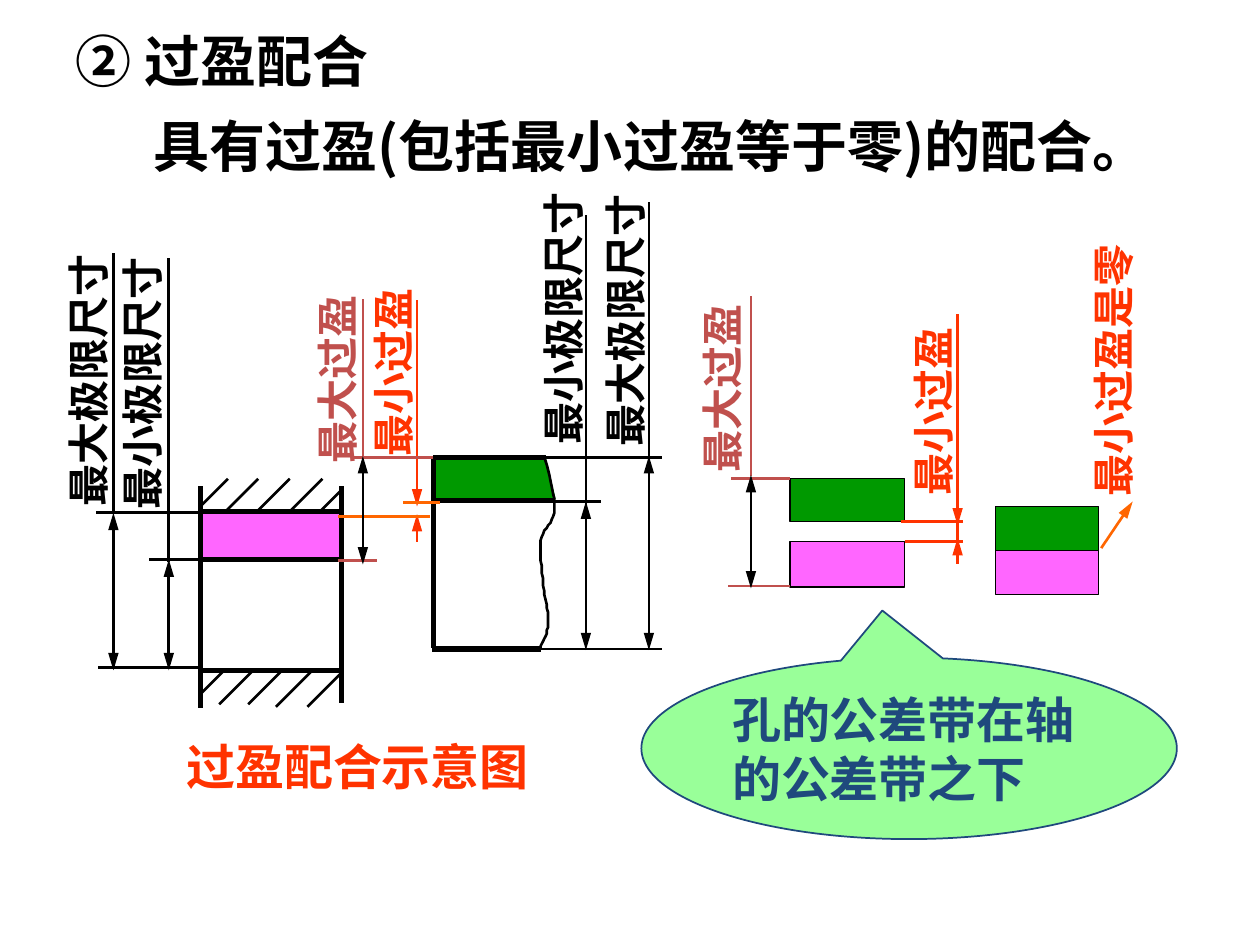
from dataclasses import dataclass

from lxml import etree
from pptx import Presentation
from pptx.dml.color import RGBColor
from pptx.enum.lang import MSO_LANGUAGE_ID
from pptx.enum.shapes import MSO_CONNECTOR, MSO_SHAPE
from pptx.enum.text import MSO_ANCHOR, MSO_AUTO_SIZE, PP_ALIGN
from pptx.oxml.ns import qn
from pptx.util import Pt

PX = 9144  # 100 px to the inch
STRAIGHT = MSO_CONNECTOR.STRAIGHT
RECTANGLE, CALLOUT = MSO_SHAPE.RECTANGLE, MSO_SHAPE.OVAL_CALLOUT
TOP, MIDDLE = MSO_ANCHOR.TOP, MSO_ANCHOR.MIDDLE
LEFT = PP_ALIGN.LEFT
GROW = MSO_AUTO_SIZE.SHAPE_TO_FIT_TEXT
CHINESE = MSO_LANGUAGE_ID.SIMPLIFIED_CHINESE

BLACK = RGBColor(0x00, 0x00, 0x00)
RED = RGBColor(0xFF, 0x33, 0x00)
ORANGE = RGBColor(0xFF, 0x66, 0x00)
BRICK = RGBColor(0xC0, 0x50, 0x4D)
NAVY = RGBColor(0x1F, 0x49, 0x7D)
GREEN = RGBColor(0x00, 0x99, 0x00)
PINK = RGBColor(0xFF, 0x66, 0xFF)
MINT = RGBColor(0x99, 0xFF, 0x99)

SANS, SERIF = "Noto Sans CJK SC", "Times New Roman"
THICK, THIN, HAIR = 3, 1.5, 0.75
HEAD, TAIL = ("headEnd",), ("tailEnd",)
BOTH = HEAD + TAIL


@dataclass
class Label:
    text: str
    x: int
    y: int
    w: int
    h: int = 50
    color: RGBColor = BLACK
    size: int = 24
    font: str = SERIF
    rotation: int = 270
    anchor: MSO_ANCHOR = TOP
    wrap: bool = False


@dataclass
class Line:
    x1: int
    y1: int
    x2: int
    y2: int
    color: RGBColor = BLACK
    width: float = THIN
    arrows: tuple[str, ...] = ()


@dataclass
class Zone:
    x: int
    y: int
    w: int
    h: int
    color: RGBColor


@dataclass
class Outline:
    points: list[tuple[float, float]]
    fill: RGBColor | None = None


def write(frame, text: str, color: RGBColor, size: int, font: str,
          anchor: MSO_ANCHOR, wrap: bool) -> None:
    frame.text = text
    paragraph = frame.paragraphs[0]
    frame_format = {"word_wrap": wrap, "auto_size": GROW, "vertical_anchor": anchor}
    font_format = {"name": font, "size": Pt(size), "bold": True, "language_id": CHINESE}
    for target, values in ((frame, frame_format), (paragraph, {"alignment": LEFT}),
                           (paragraph.runs[0].font, font_format)):
        for name, value in values.items():
            setattr(target, name, value)
    paragraph.runs[0].font.color.rgb = color


def draw_label(shapes, label: Label) -> None:
    box = shapes.add_textbox(*(v * PX for v in (label.x, label.y, label.w, label.h)))
    box.rotation = label.rotation
    write(box.text_frame, label.text, label.color, label.size, label.font,
          label.anchor, label.wrap)


def draw_line(shapes, line: Line) -> None:
    connector = shapes.add_connector(
        STRAIGHT, *(v * PX for v in (line.x1, line.y1, line.x2, line.y2)))
    connector.line.color.rgb = line.color
    connector.line.width = Pt(line.width)
    stroke = connector.line._get_or_add_ln()
    for end in line.arrows:
        etree.SubElement(stroke, qn(f"a:{end}"), type="triangle", w="med", len="lg")
    etree.SubElement(connector._element.spPr, qn("a:effectLst"))


def paint(shape, fill: RGBColor, border: RGBColor, width: float) -> None:
    shape.shadow.inherit = False
    shape.fill.solid()
    shape.fill.fore_color.rgb = fill
    shape.line.color.rgb = border
    shape.line.width = Pt(width)


def draw_zone(shapes, zone: Zone) -> None:
    rectangle = shapes.add_shape(
        RECTANGLE, *(v * PX for v in (zone.x, zone.y, zone.w, zone.h)))
    paint(rectangle, zone.color, BLACK, HAIR)


def draw_outline(shapes, outline: Outline) -> None:
    builder = shapes.build_freeform(*outline.points[0], scale=PX)
    builder.add_line_segments(outline.points[1:], close=outline.fill is not None)
    shape = builder.convert_to_shape()
    if outline.fill is None:
        paint(shape, BLACK, BLACK, THIN)
        shape.fill.background()
    else:
        paint(shape, outline.fill, BLACK, THIN)
        shape.line.fill.background()


def curve(points: list[tuple[int, int]], steps: int = 10) -> list[tuple[float, float]]:
    """Points along a chain of cubic Bézier curves."""
    result = [points[0]]
    for i in range(0, len(points) - 1, 3):
        for step in range(1, steps + 1):
            t = step / steps
            weights = ((1 - t) ** 3, 3 * t * (1 - t) ** 2, 3 * t * t * (1 - t), t ** 3)
            result.append(tuple(sum(w * p[axis] for w, p in zip(weights, points[i:i + 4]))
                                for axis in (0, 1)))
    return result


# Hatch strokes rise at 45 degrees: left end, lower end, run
HATCH = [(159, 402, 22), (180, 405, 25), (204, 406, 26), (231, 405, 25), (255, 405, 16),
         (159, 551, 19), (174, 559, 28), (197, 559, 28), (219, 561, 28), (244, 561, 28)]
BREAK_EDGE = [(432, 363), (434, 370), (441, 393), (440, 404), (440, 415), (431, 419),
              (429, 429), (428, 439), (430, 451), (431, 462), (432, 473), (436, 487),
              (435, 495), (435, 504), (430, 511), (428, 516)]

HEADINGS = [
    Label("② 过盈配合", 50, 16, 297, 63, BLACK, 32, SANS, 0, MIDDLE, True),
    Label("具有过盈(包括最小过盈等于零)的配合。", 112, 84, 826, 63, BLACK, 32, SANS, 0,
          MIDDLE, True),
]
HOLE = [
    Outline([(159, 408), (271, 408), (271, 445), (159, 445)], PINK),
    Line(159, 386, 159, 562, width=THICK),
    Line(271, 386, 271, 558, width=THICK),
    *(Line(159, y, 272, y, width=THICK) for y in (444, 532, 406)),
    *(Line(x, y, x + run, y - run) for x, y, run in HATCH),
    Label("最小极限尺寸", 2, 279, 221),
    Label("最大极限尺寸", -41, 276, 221),
    Line(90, 407, 90, 201),
    Line(157, 530, 78, 530),
    Line(159, 444, 118, 444),
    Line(159, 407, 76, 407),
    Line(134, 444, 134, 532, arrows=BOTH),
    Line(134, 446, 134, 205),
    Line(90, 407, 90, 532, arrows=BOTH),
]
SHAFT = [
    Label("最大极限尺寸", 383, 226, 226, wrap=True),
    Label("最小极限尺寸", 336, 227, 221),
    Line(427, 515, 525, 515, width=HAIR),
    Line(465, 401, 465, 171),
    Line(434, 398, 477, 398),
    Line(427, 363, 525, 363),
    Line(515, 364, 515, 160),
    Outline([(344, 362), (433, 362), (441, 396), (344, 396)], GREEN),
    Line(344, 363, 433, 363, width=THICK),
    Line(343, 515, 429, 515, width=THICK),
    Line(344, 397, 440, 397, width=THICK),
    Outline(curve(BREAK_EDGE)),
    Line(344, 514, 344, 362, width=THICK),
    Line(465, 398, 465, 516, arrows=BOTH),
    Line(515, 362, 515, 516, arrows=BOTH),
]
INTERFERENCE = [
    Label("最小过盈", 225, 260, 174, color=RED, wrap=True),
    Line(331, 408, 331, 430, RED, arrows=HEAD),
    Line(331, 402, 331, 238, RED, arrows=HEAD),
    Line(268, 410, 341, 410, ORANGE),
    Line(349, 399, 320, 399, ORANGE),
    Label("最大过盈", 186, 272, 162, color=BRICK, wrap=True),
    Line(288, 371, 288, 237, BRICK),
    Line(344, 363, 279, 363, BRICK),
    Line(268, 445, 299, 445, BRICK),
    Line(288, 362, 288, 448, arrows=BOTH),
]
SEPARATE_ZONES = [
    Zone(627, 380, 91, 34, GREEN),
    Zone(627, 430, 91, 36, PINK),
    Label("最小过盈", 663, 301, 154, color=RED),
    Line(715, 414, 764, 414, RED),
    Line(718, 430, 764, 430, RED),
    Line(760, 414, 760, 430, RED),
    Line(760, 427, 760, 448, RED, arrows=HEAD),
    Line(760, 417, 760, 249, RED, arrows=HEAD),
    Label("最大过盈", 496, 283, 154, color=BRICK),
    Line(627, 380, 580, 380, BRICK),
    Line(627, 465, 578, 465, BRICK),
    Line(596, 378, 596, 235, BRICK),
    Line(596, 377, 596, 467, arrows=BOTH),
]
TOUCHING_ZONES = [
    Zone(790, 402, 82, 35, GREEN),
    Zone(790, 437, 82, 35, PINK),
    Line(874, 435, 899, 398, ORANGE, arrows=TAIL),
    Label("最小过盈是零", 773, 268, 221, color=RED),
]
CAPTION = [Label("过盈配合示意图", 138, 580, 306, 57, RED, 28, rotation=0, wrap=True)]
DRAW = {Label: draw_label, Line: draw_line, Zone: draw_zone, Outline: draw_outline}


def main() -> None:
    deck = Presentation()
    deck.slide_width, deck.slide_height = 1000 * PX, 750 * PX
    shapes = deck.slides.add_slide(deck.slide_layouts[6]).shapes

    for heading in HEADINGS:
        draw_label(shapes, heading)

    # Conclusion callout
    conclusion = shapes.add_shape(CALLOUT, 509 * PX, 522 * PX, 425 * PX, 144 * PX)
    conclusion.adjustments[0], conclusion.adjustments[1] = -0.05, -0.76
    paint(conclusion, MINT, NAVY, 1)
    write(conclusion.text_frame, "孔的公差带在轴的公差带之下", NAVY, 28, SERIF, MIDDLE, True)

    # Fit diagram, tolerance zones and caption
    for part in (HOLE, SHAFT, INTERFERENCE, SEPARATE_ZONES, TOUCHING_ZONES, CAPTION):
        for item in part:
            DRAW[type(item)](shapes, item)

    deck.save("out.pptx")


if __name__ == "__main__":
    main()
